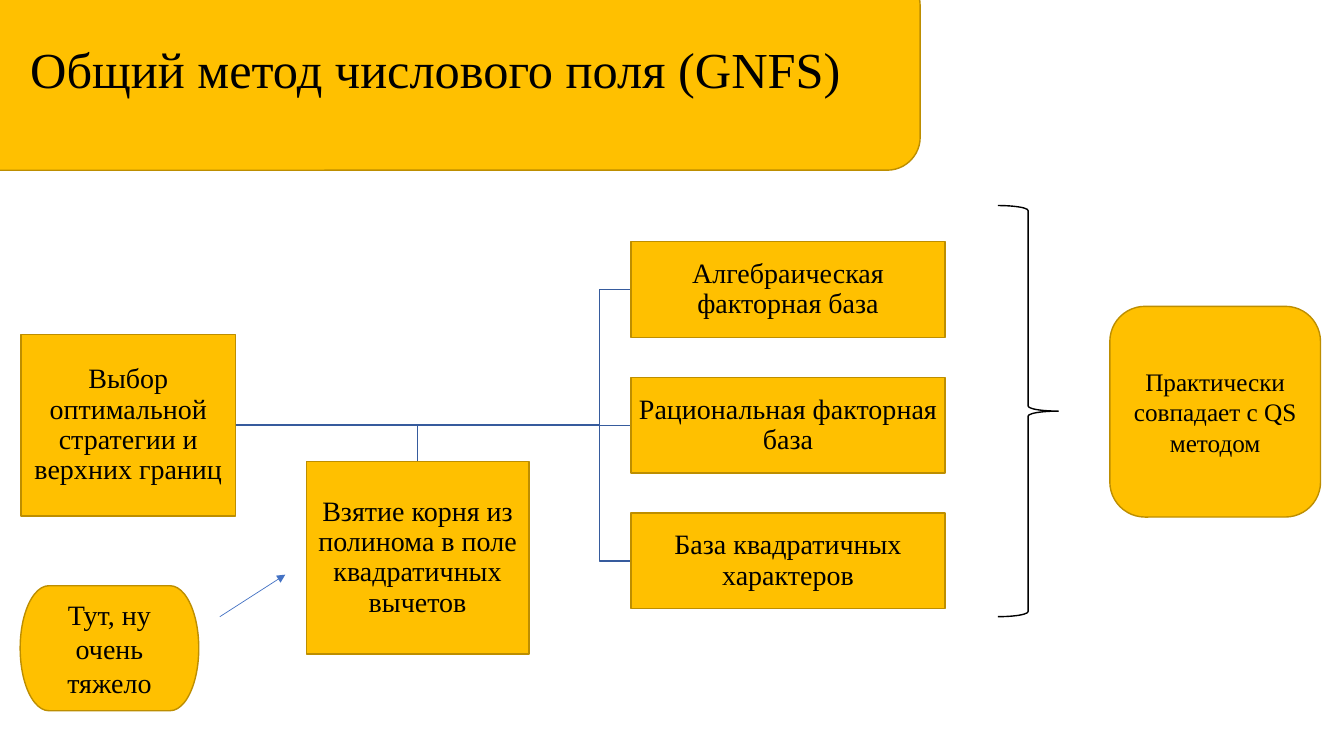
from dataclasses import dataclass

from lxml.etree import SubElement
from pptx import Presentation
from pptx.dml.color import RGBColor
from pptx.enum.shapes import MSO_CONNECTOR as Conn, MSO_SHAPE as Geo
from pptx.enum.text import MSO_ANCHOR as Anchor, PP_ALIGN as Align
from pptx.oxml.ns import qn
from pptx.shapes.autoshape import Shape
from pptx.shapes.connector import Connector
from pptx.slide import Slide
from pptx.text.text import TextFrame
from pptx.util import Cm, Pt


@dataclass(frozen=True)
class Theme:
    font: str = "Times New Roman"
    text: RGBColor = RGBColor(0, 0, 0)
    fill: RGBColor = RGBColor(0xFF, 0xC0, 0x00)
    border: RGBColor = RGBColor(0xBD, 0x8E, 0x00)
    branch: RGBColor = RGBColor(0x36, 0x5B, 0x9D)
    arrow: RGBColor = RGBColor(0x44, 0x72, 0xC4)
    title_pt: float = 36
    box_pt: float = 20
    note_pt: float = 18
    line_pt: float = 1
    arrow_pt: float = 0.5


@dataclass(frozen=True)
class Box:
    """A filled shape; lengths in centimetres."""
    left: float
    top: float
    width: float
    height: float
    text: str = ""
    geo: Geo = Geo.RECTANGLE
    size: float = 20
    spacing: float = 0.9
    inset: float = 0.03

    @property
    def right(self) -> float:
        return self.left + self.width

    @property
    def center_x(self) -> float:
        return self.left + self.width / 2

    @property
    def center_y(self) -> float:
        return self.top + self.height / 2


THEME = Theme()
Point = tuple[float, float]

# Tree of steps
ROOT = Box(0.53, 8.43, 5.41, 4.57, "Выбор оптимальной стратегии и верхних границ")
SQUARE_ROOT = Box(7.72, 11.63, 5.61, 4.85,
                  "Взятие корня из полинома в поле квадратичных вычетов")
BASE_NAMES = ("Алгебраическая факторная база",
              "Рациональная факторная база",
              "База квадратичных характеров")
BASE_LEFT, BASE_WIDTH, BASE_HEIGHT, BASE_PITCH = 15.9, 7.92, 2.41, 3.42
BEND_X = 15.11
BASES = [Box(BASE_LEFT, ROOT.center_y - BASE_HEIGHT / 2 + (i - 1) * BASE_PITCH,
             BASE_WIDTH, BASE_HEIGHT, name)
         for i, name in enumerate(BASE_NAMES)]

# Banner and remarks
BANNER = Box(-1.19, -0.69, 24.38, 4.98, geo=Geo.ROUNDED_RECTANGLE)
QS_NOTE = Box(27.97, 7.72, 5.31, 5.31, "Практически совпадает с QS методом",
              Geo.ROUNDED_RECTANGLE, THEME.note_pt, 1, 0.25)
HARD_NOTE = Box(0.51, 14.76, 4.5, 3.15, "Тут, ну очень тяжело",
                Geo.FLOWCHART_TERMINATOR, THEME.box_pt, 1, 0.25)


def write(tf: TextFrame, text: str, size: float, spacing: float, align: Align) -> None:
    tf.word_wrap = True
    tf.vertical_anchor = Anchor.MIDDLE
    tf.text = text
    p = tf.paragraphs[0]
    p.alignment = align
    p.line_spacing = spacing
    for r in p.runs:
        r.font.name = THEME.font
        r.font.size = Pt(size)
        r.font.color.rgb = THEME.text


def outline(sp: Shape | Connector, color: RGBColor, width: float) -> None:
    sp.line.color.rgb = color
    sp.line.width = Pt(width)


def add_box(s: Slide, box: Box) -> Shape:
    sp = s.shapes.add_shape(box.geo, Cm(box.left), Cm(box.top),
                            Cm(box.width), Cm(box.height))
    sp.shadow.inherit = False
    sp.fill.solid()
    sp.fill.fore_color.rgb = THEME.fill
    outline(sp, THEME.border, THEME.line_pt)
    if box.text:
        tf = sp.text_frame
        tf.margin_left = tf.margin_right = Cm(box.inset)
        tf.margin_top = tf.margin_bottom = Cm(box.inset)
        write(tf, box.text, box.size, box.spacing, Align.CENTER)
    return sp


def add_branch(s: Slide, points: list[Point]) -> None:
    start, *rest = [(Cm(x), Cm(y)) for x, y in points]
    builder = s.shapes.build_freeform(*start)
    builder.add_line_segments(rest, close=False)
    sp = builder.convert_to_shape()
    sp.shadow.inherit = False
    sp.fill.background()
    outline(sp, THEME.branch, THEME.line_pt)


def add_line(s: Slide, start: Point, end: Point, color: RGBColor, width: float) -> Connector:
    line = s.shapes.add_connector(Conn.STRAIGHT, Cm(start[0]), Cm(start[1]),
                                  Cm(end[0]), Cm(end[1]))
    outline(line, color, width)
    SubElement(line._element.spPr, qn("a:effectLst"))
    return line


def add_tree(s: Slide) -> None:
    # Branches lie behind the boxes
    start = (ROOT.right, ROOT.center_y)
    add_branch(s, [start, (SQUARE_ROOT.center_x, ROOT.center_y),
                   (SQUARE_ROOT.center_x, SQUARE_ROOT.top)])
    for base in (BASES[0], BASES[2]):
        add_branch(s, [start, (BEND_X, ROOT.center_y),
                       (BEND_X, base.center_y), (base.left, base.center_y)])
    trunk = add_line(s, start, (BASES[1].left, BASES[1].center_y),
                     THEME.branch, THEME.line_pt)
    root = add_box(s, ROOT)
    bases = [add_box(s, base) for base in BASES]
    add_box(s, SQUARE_ROOT)
    trunk.begin_connect(root, 3)
    trunk.end_connect(bases[1], 1)


def main() -> None:
    prs = Presentation()
    prs.slide_width, prs.slide_height = Cm(33.87), Cm(19.05)
    s = prs.slides.add_slide(prs.slide_layouts[6])

    # Title on its banner
    add_box(s, BANNER)
    title = s.shapes.add_textbox(Cm(0.51), Cm(0.79), Cm(22.12), Cm(2.06))
    write(title.text_frame, "Общий метод числового поля (GNFS)",
          THEME.title_pt, 0.9, Align.LEFT)

    add_tree(s)

    # Brace around the factor bases
    brace = s.shapes.add_shape(Geo.RIGHT_BRACE, Cm(25.15), Cm(5.18), Cm(1.52), Cm(10.36))
    brace.shadow.inherit = False
    brace.fill.background()
    outline(brace, THEME.text, THEME.line_pt)

    # Remarks and the arrow to the hard step
    add_box(s, QS_NOTE)
    add_box(s, HARD_NOTE)
    arrow = add_line(s, (5.54, 15.54), (7.19, 14.48), THEME.arrow, THEME.arrow_pt)
    SubElement(arrow.get_or_add_ln(), qn("a:tailEnd"), type="triangle")

    prs.save("out.pptx")


if __name__ == "__main__":
    main()
